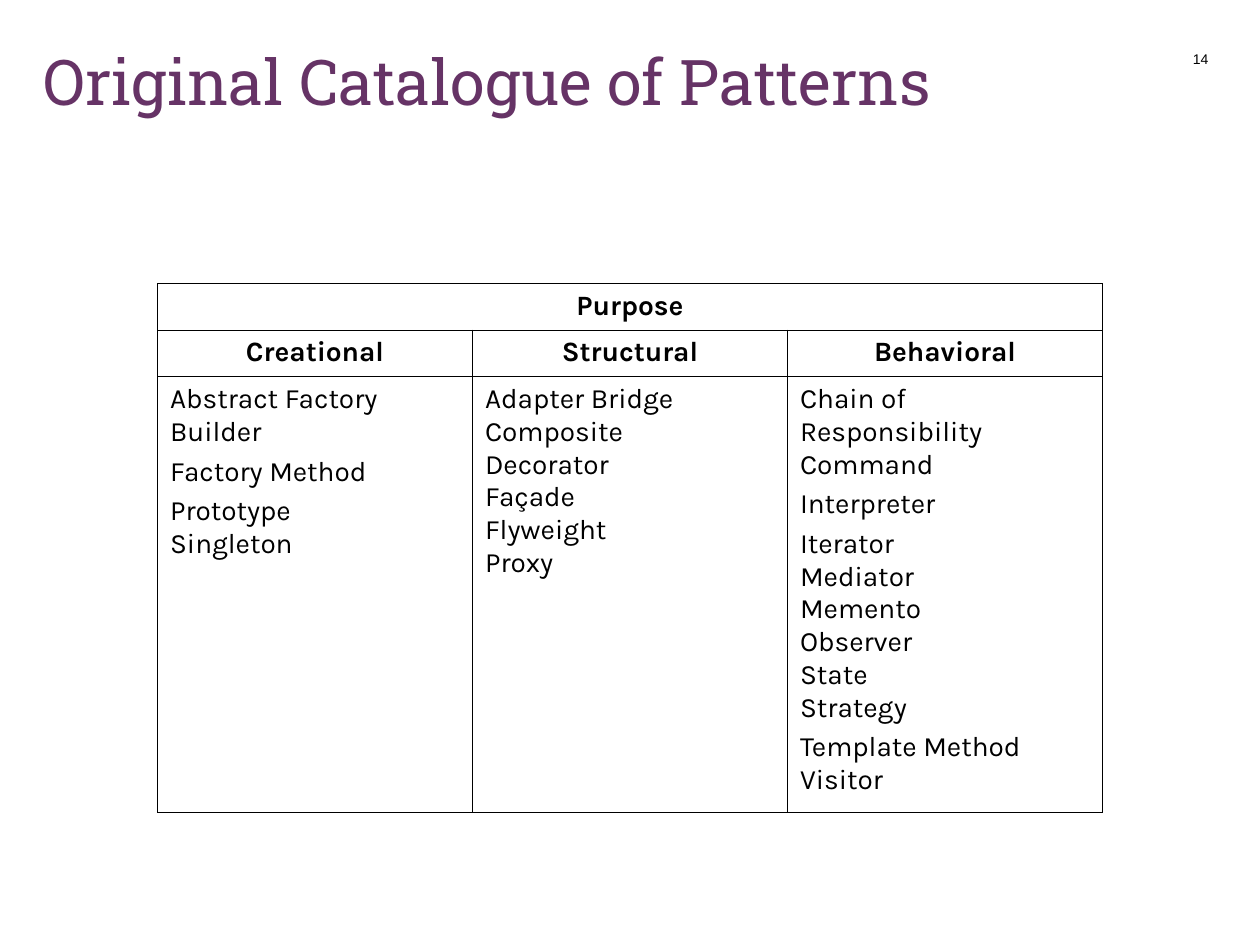
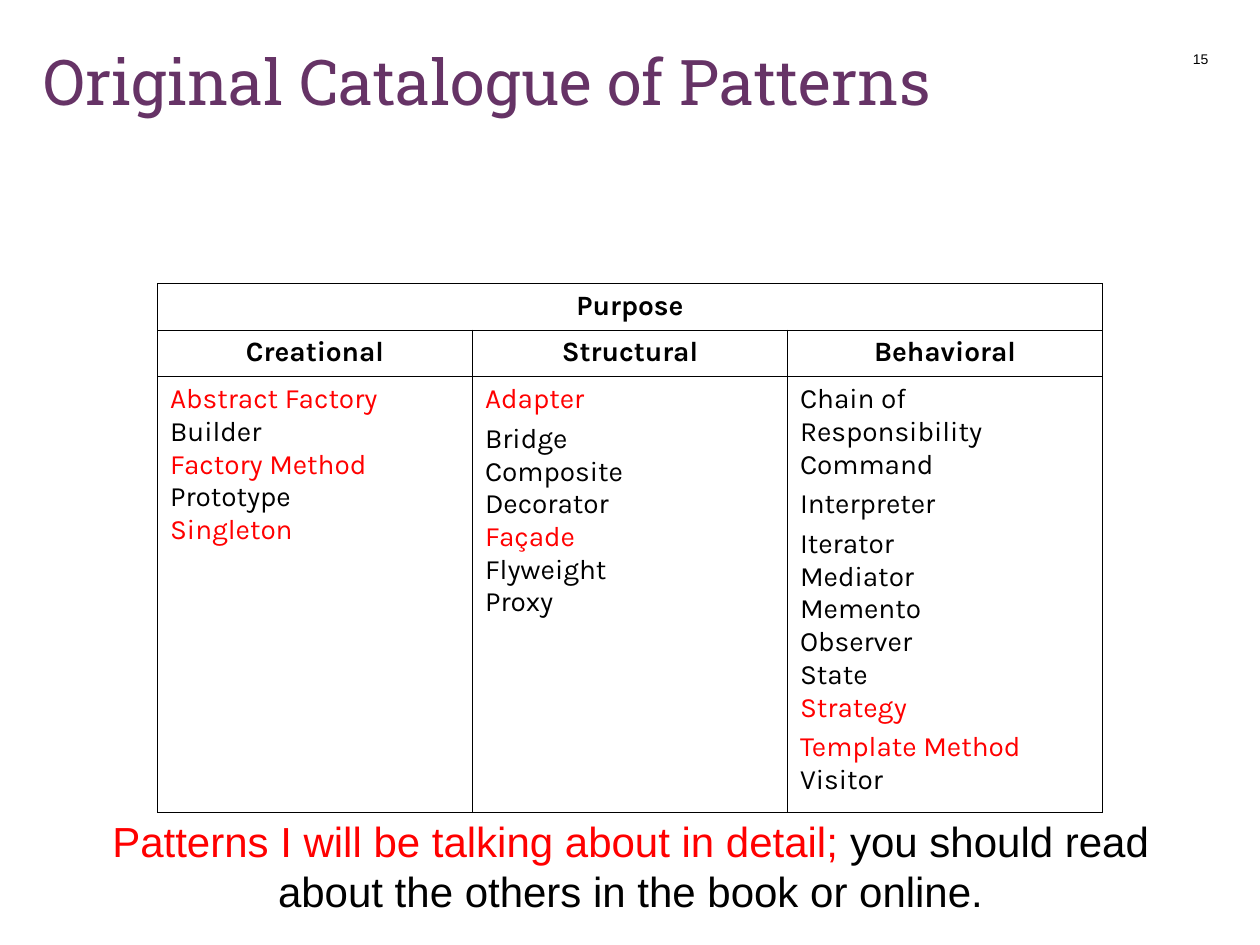
from copy import deepcopy
from dataclasses import dataclass

from lxml import etree
from pptx import Presentation
from pptx.dml.color import RGBColor
from pptx.enum.text import MSO_ANCHOR as Anchor, MSO_AUTO_SIZE as AutoSize, PP_ALIGN as Align
from pptx.oxml.ns import qn
from pptx.util import Inches, Pt


@dataclass(frozen=True)
class Theme:
    title_color: str = "663366"
    ink: str = "000000"
    highlight: str = "FF0000"
    title_font: str = "Roboto Slab"
    table_font: str = "Karla"
    plain_font: str = "Arial"
    title_size: int = 36
    note_size: int = 24
    table_size: int = 16
    number_size: int = 8
    border: float = 0.45
    paragraph_gap: int = 4


TITLE = "Original Catalogue of Patterns"
PURPOSES = ["Creational", "Structural", "Behavioral"]
BEHAVIORAL = [
    "Chain of Responsibility\nCommand",
    "Interpreter",
    "Iterator\nMediator\nMemento\nObserver\nState\nStrategy",
    "Template Method\nVisitor",
]
CREATIONAL = ["Abstract Factory\nBuilder", "Factory Method", "Prototype\nSingleton"]
STRUCTURAL = ["Adapter Bridge\nComposite\nDecorator\nFaçade\nFlyweight\nProxy"]
STRUCTURAL_SPLIT = ["Adapter", "Bridge\nComposite\nDecorator\nFaçade\nFlyweight\nProxy"]
DISCUSSED = ["Abstract Factory", "Factory Method", "Singleton", "Adapter", "Façade",
             "Strategy", "Template Method"]


def mark(text, names):
    """Put asterisks around each of the names, which makes them highlighted."""
    for name in names:
        text = text.replace(name, f"*{name}*")
    return text


def write(frame, paragraphs, *, font, size, color, highlight=None, bold=False,
          align=Align.LEFT, gap=0):
    """Fill a text frame; parts between asterisks take the highlight colour."""
    frame.word_wrap = True
    for index, text in enumerate(paragraphs):
        paragraph = frame.add_paragraph() if index else frame.paragraphs[0]
        paragraph.alignment = align
        paragraph.space_before = Pt(gap if index else 0)
        for part_index, part in enumerate(text.split("*")):
            part_color = highlight if part_index % 2 else color
            for line_index, line in enumerate(part.split("\n")):
                if line_index:
                    paragraph.add_line_break()
                    # The break keeps the type size of the line it ends
                    paragraph._p[-1].append(deepcopy(run._r.rPr))
                if line:
                    run = paragraph.add_run()
                    run.text = line
                    run.font.name = font
                    run.font.size = Pt(size)
                    run.font.bold = bold
                    run.font.color.rgb = RGBColor.from_string(part_color)


def outline_cell(cell, color, width):
    properties = cell._tc.get_or_add_tcPr()
    for side in ("a:lnL", "a:lnR", "a:lnT", "a:lnB"):
        line = etree.SubElement(properties, qn(side), w=str(int(Pt(width))))
        fill = etree.SubElement(line, qn("a:solidFill"))
        etree.SubElement(fill, qn("a:srgbClr"), val=color)
    cell.fill.background()


class Deck:
    def __init__(self, theme):
        self.theme = theme
        self.presentation = Presentation()
        self.presentation.slide_width = Inches(10)
        self.presentation.slide_height = Inches(7.5)
        self.slide = None

    def start_slide(self, title, number):
        theme = self.theme
        self.slide = self.presentation.slides.add_slide(self.presentation.slide_layouts[6])
        self.text(0.25, 0.29, 9.42, 1.21, [title], font=theme.title_font,
                  size=theme.title_size, color=theme.title_color)
        self.text(9.08, 0.27, 0.61, 0.4, [str(number)], anchor=Anchor.MIDDLE,
                  font=theme.plain_font, size=theme.number_size, color=theme.ink,
                  align=Align.RIGHT)

    def text(self, left, top, width, height, paragraphs, *, anchor=Anchor.TOP,
             auto_size=AutoSize.NONE, **style):
        box = self.slide.shapes.add_textbox(
            Inches(left), Inches(top), Inches(width), Inches(height))
        frame = box.text_frame
        write(frame, paragraphs, **style)
        frame.vertical_anchor = anchor
        frame.auto_size = auto_size

    def catalogue(self, columns, highlighted=(), creational_gap=None):
        theme = self.theme
        table = self.slide.shapes.add_table(
            3, len(PURPOSES), Inches(1.25), Inches(2.25), Inches(7.5), Inches(4.21)).table
        table.first_row = table.horz_banding = False
        for row, height in zip(table.rows, (0.37, 0.37, 3.46)):
            row.height = Inches(height)
        for cell in table.iter_cells():
            outline_cell(cell, theme.ink, theme.border)
        table.cell(0, 0).merge(table.cell(0, len(PURPOSES) - 1))

        base = dict(font=theme.table_font, size=theme.table_size, color=theme.ink)
        heading = dict(base, bold=True, align=Align.CENTER)
        write(table.cell(0, 0).text_frame, ["Purpose"], **heading)
        for index, (purpose, patterns) in enumerate(zip(PURPOSES, columns)):
            gap = theme.paragraph_gap
            if purpose == "Creational" and creational_gap is not None:
                gap = creational_gap
            write(table.cell(1, index).text_frame, [purpose], **heading)
            write(table.cell(2, index).text_frame,
                  [mark(text, highlighted) for text in patterns],
                  highlight=theme.highlight, gap=gap, **base)

    def note(self, text):
        theme = self.theme
        self.text(0.42, 6.42, 9.17, 0.9, [text], auto_size=AutoSize.SHAPE_TO_FIT_TEXT,
                  font=theme.plain_font, size=theme.note_size, color=theme.ink,
                  highlight=theme.highlight, align=Align.CENTER)


def main():
    deck = Deck(Theme())

    deck.start_slide(TITLE, 14)
    deck.catalogue([CREATIONAL, STRUCTURAL, BEHAVIORAL])

    deck.start_slide(TITLE, 15)
    deck.catalogue([CREATIONAL, STRUCTURAL_SPLIT, BEHAVIORAL],
                   highlighted=DISCUSSED, creational_gap=0)
    deck.note("*Patterns I will be talking about in detail; *"
              "you should read about the others in the book or online.")

    deck.presentation.save("out.pptx")


if __name__ == "__main__":
    main()
